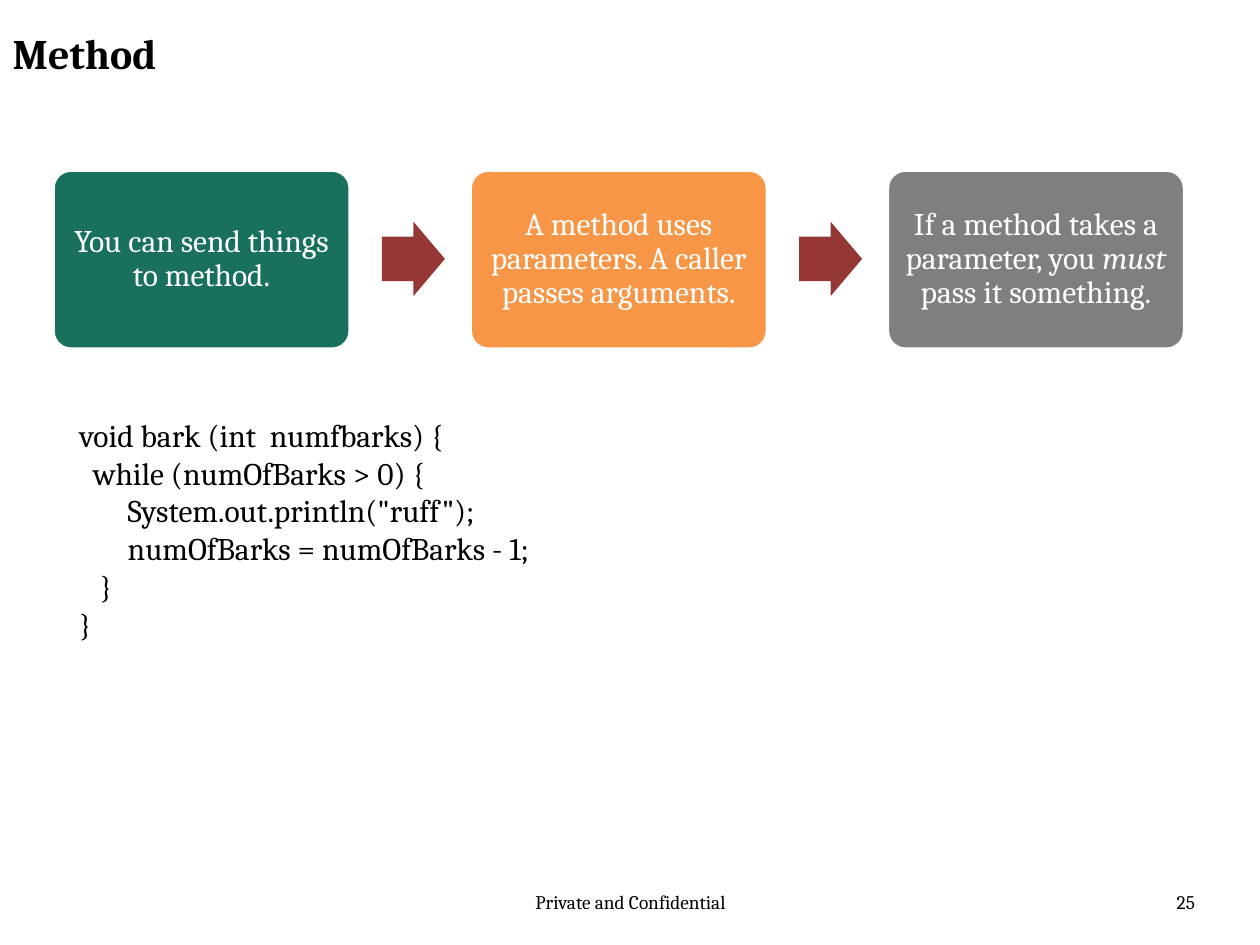
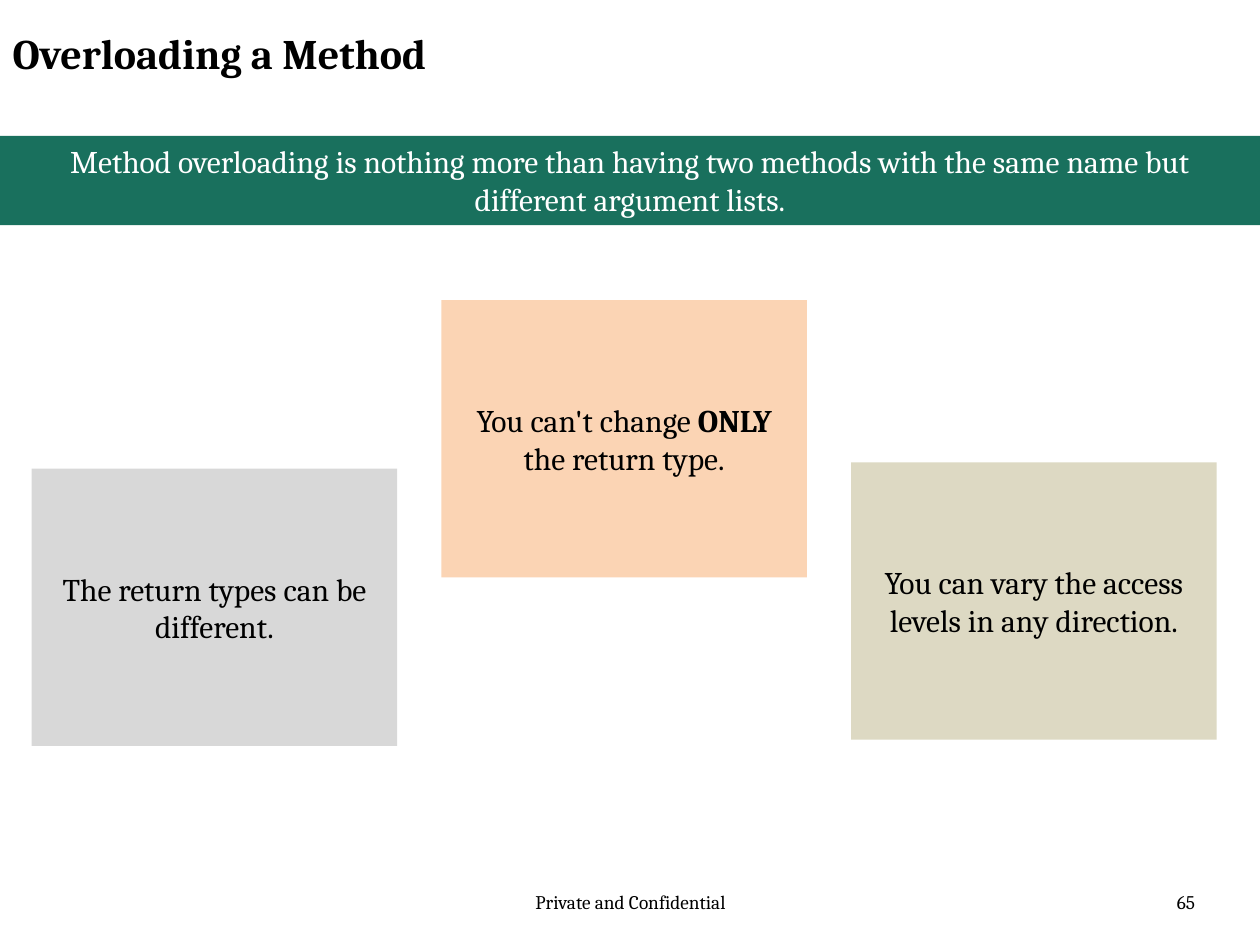
from dataclasses import dataclass
from typing import Optional

from pptx import Presentation
from pptx.dml.color import RGBColor
from pptx.enum.shapes import MSO_SHAPE as Shape
from pptx.enum.text import MSO_ANCHOR as Anchor, MSO_AUTO_SIZE as AutoSize, PP_ALIGN as Align
from pptx.util import Cm, Pt

FONT = "Cambria"
COLORS = {
    "black": "000000",
    "white": "FFFFFF",
    "green": "19705D",
    "orange": "F79646",
    "gray": "7F7F7F",
    "red": "953734",
    "silver": "D8D8D8",
    "peach": "FBD4B4",
    "sand": "DDD9C3",
}
CODE = """void bark (int  numfbarks) {
  while (numOfBarks > 0) {
       System.out.println("ruff");
       numOfBarks = numOfBarks - 1;
   }
}"""


@dataclass
class Box:
    left: float
    top: float
    width: float
    height: float

    def emu(self) -> tuple:
        return Cm(self.left), Cm(self.top), Cm(self.width), Cm(self.height)


@dataclass
class Card:
    before: str
    fill: str
    emphasis: str = ""
    after: str = ""
    top: float = 3.43


TITLE = Box(0, 0.43, 18.03, 2.64)
FOOTER = Box(8.69, 17.83, 8.05, 1.02)
NUMBER = Box(18.42, 17.83, 5.92, 1.02)

STEPS = [
    Card("You can send things to method.", "green"),
    Card("A method uses parameters. A caller passes arguments.", "orange"),
    Card("If a method takes a parameter, you ", "gray", "must ", "pass it something."),
]
RULES = [
    Card("The return types can be different.", "silver", top=9.45),
    Card("You can't change ", "peach", "ONLY", " the return type.", top=6.05),
    Card("You can vary the access levels in any direction.", "sand", top=9.32),
]


def rgb(name: str) -> RGBColor:
    return RGBColor.from_string(COLORS[name])


def style(tf, size: float, color: str = "black", align=Align.LEFT, bold: Optional[bool] = None) -> None:
    tf.word_wrap = True
    for p in tf.paragraphs:
        p.alignment = align
        for r in p.runs:
            r.font.name = FONT
            r.font.size = Pt(size)
            r.font.color.rgb = rgb(color)
            if bold is not None:
                r.font.bold = bold


def add_text(slide, box: Box, text: str, size: float, align=Align.LEFT) -> None:
    tf = slide.shapes.add_textbox(*box.emu()).text_frame
    tf.text = text
    style(tf, size, align=align)


def add_filled(slide, kind, box: Box, fill: str):
    sp = slide.shapes.add_shape(kind, *box.emu())
    sp.shadow.inherit = False
    sp.fill.solid()
    sp.fill.fore_color.rgb = rgb(fill)
    sp.line.fill.background()
    return sp


def add_card(slide, kind, box: Box, card: Card, color: str):
    sp = add_filled(slide, kind, box, card.fill)
    tf = sp.text_frame
    tf.vertical_anchor = Anchor.MIDDLE
    p = tf.paragraphs[0]
    for text in filter(None, (card.before, card.emphasis, card.after)):
        p.add_run().text = text
    style(tf, 18, color, Align.CENTER)
    return sp


def add_page(prs, title: str, number: int):
    slide = prs.slides.add_slide(prs.slide_layouts[5])
    sp = slide.shapes.title
    sp.left, sp.top, sp.width, sp.height = TITLE.emu()
    tf = sp.text_frame
    tf.text = title
    tf.auto_size = AutoSize.NONE
    tf.vertical_anchor = Anchor.TOP
    style(tf, 24, bold=True)
    add_text(slide, FOOTER, "Private and Confidential", 11, Align.CENTER)
    add_text(slide, NUMBER, str(number), 11, Align.RIGHT)
    return slide


def build_method(prs) -> None:
    slide = add_page(prs, "Method", 25)
    pitch = 8.41
    for i, step in enumerate(STEPS):
        left = 1.07 + i * pitch
        sp = add_card(slide, Shape.ROUNDED_RECTANGLE, Box(left, step.top, 5.99, 3.61), step, "white")
        sp.adjustments[0] = 0.1
        sp.line.color.rgb = rgb("white")
        sp.line.width = Pt(2)
        tf = sp.text_frame
        tf.margin_left = tf.margin_right = tf.margin_top = tf.margin_bottom = Cm(0.18)
        p = tf.paragraphs[0]
        p.line_spacing = 0.9
        if step.emphasis:
            p.runs[1].font.italic = True
        if i < len(STEPS) - 1:
            arrow = add_filled(slide, Shape.RIGHT_ARROW, Box(left + 6.63, 4.47, 1.27, 1.5), "red")
            arrow.adjustments[0] = 0.6
            arrow.adjustments[1] = 0.5
    add_text(slide, Box(1.35, 8.26, 20.52, 4.88), CODE, 18)


def build_overloading(prs) -> None:
    slide = add_page(prs, "Overloading a Method", 65)
    band = add_filled(slide, Shape.RECTANGLE, Box(0, 2.74, 25.4, 1.8), "green")
    tf = band.text_frame
    tf.text = "Method overloading is nothing more than having two methods with the same name but different argument lists."
    tf.vertical_anchor = Anchor.TOP
    style(tf, 18, "white", Align.CENTER)
    for i, rule in enumerate(RULES):
        box = Box(0.64 + i * 8.26, rule.top, 7.37, 5.59)
        sp = add_card(slide, Shape.RECTANGLE, box, rule, "black")
        if rule.emphasis:
            sp.text_frame.paragraphs[0].runs[1].font.bold = True


def main() -> None:
    prs = Presentation()
    prs.slide_width, prs.slide_height = Cm(25.4), Cm(19.05)
    build_method(prs)
    build_overloading(prs)
    prs.save("out.pptx")


if __name__ == "__main__":
    main()
